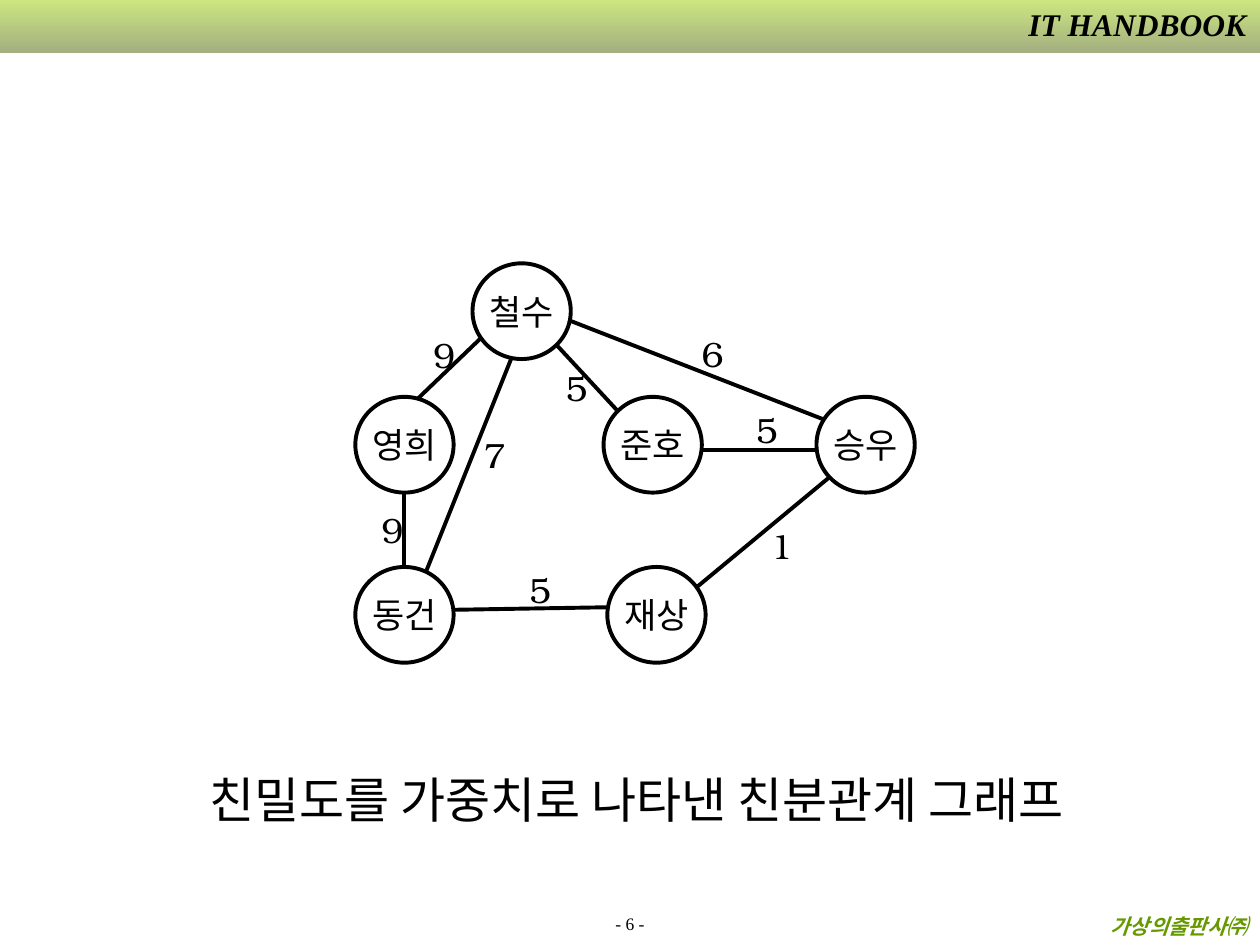
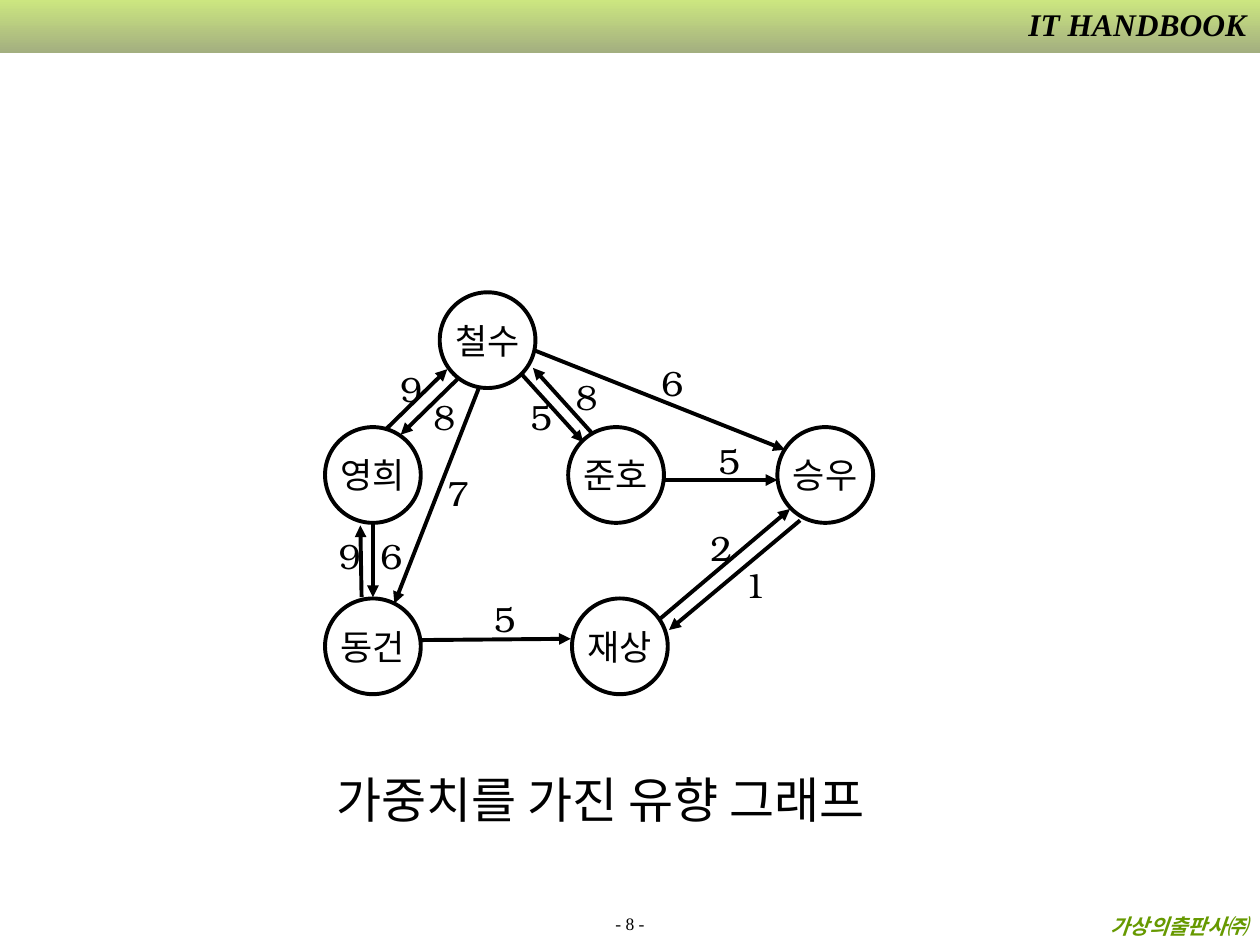
from lxml import etree
from pptx import Presentation
from pptx.dml.color import RGBColor
from pptx.enum.shapes import MSO_CONNECTOR, MSO_SHAPE
from pptx.enum.text import MSO_ANCHOR, MSO_AUTO_SIZE, PP_ALIGN
from pptx.oxml import parse_xml
from pptx.oxml.ns import nsdecls, qn
from pptx.util import Inches, Pt

STRAIGHT = MSO_CONNECTOR.STRAIGHT
RECTANGLE, OVAL = MSO_SHAPE.RECTANGLE, MSO_SHAPE.OVAL
TOP, MIDDLE, BOTTOM = MSO_ANCHOR.TOP, MSO_ANCHOR.MIDDLE, MSO_ANCHOR.BOTTOM
LEFT, CENTER, RIGHT = PP_ALIGN.LEFT, PP_ALIGN.CENTER, PP_ALIGN.RIGHT
NO_AUTOFIT = MSO_AUTO_SIZE.NONE

BLACK = RGBColor(0x00, 0x00, 0x00)
GREEN = RGBColor(0x66, 0x99, 0x00)
BAND_LIGHT = RGBColor(0xCC, 0xE6, 0x80)
BAND_DARK = RGBColor(0xA3, 0xAF, 0x80)
SERIF, WEIGHT_FONT = "Times New Roman", "TeX Gyre Bonum"
NODE_FONT, CAPTION_FONT = "Noto Sans CJK KR", "Arial"
STROKE = Pt(2.25)
TITLE_ONLY = 5

HEADER_SHADOW = (
    f'<a:effectLst {nsdecls("a")}><a:outerShdw dist="17961" dir="2700000">'
    '<a:srgbClr val="C0C0C0"/></a:outerShdw></a:effectLst>'
)

GRAPHS = [
    {
        "page": 6,
        "caption": "친밀도를 가중치로 나타낸 친분관계 그래프",
        "caption_left": 1.56,
        "caption_width": 7.06,
        "directed": False,
        "node_width": 0.78,
        "people": [
            ("영희", 2.82, 3.15), ("철수", 3.75, 2.09), ("준호", 4.79, 3.15),
            ("동건", 2.82, 4.5), ("승우", 6.48, 3.15), ("재상", 4.82, 4.5),
        ],
        "edges": [
            ((3.31, 3.17), (3.81, 2.69), "9", (3.34, 2.6)),
            ((4.51, 2.54), (6.54, 3.33), "6", (5.47, 2.59)),
            ((4.41, 2.73), (4.91, 3.27), "5", (4.39, 2.86)),
            ((3.59, 4.84), (4.81, 4.82), "5", (4.1, 4.46)),
            ((5.58, 3.57), (6.48, 3.57), "5", (5.9, 3.19)),
            ((5.53, 4.66), (6.58, 3.79), "1", (6.02, 4.11)),
            ((3.21, 3.92), (3.21, 4.5), "9", (2.93, 3.99)),
            ((4.06, 2.84), (3.38, 4.54), "7", (3.74, 3.39)),
        ],
    },
    {
        "page": 8,
        "caption": "가중치를 가진 유향 그래프",
        "caption_left": 2.57,
        "caption_width": 4.45,
        "directed": True,
        "node_width": 0.76,
        "people": [
            ("영희", 2.58, 3.39), ("철수", 3.49, 2.32), ("준호", 4.51, 3.39),
            ("동건", 2.58, 4.75), ("승우", 6.17, 3.39), ("재상", 4.54, 4.75),
        ],
        "edges": [
            ((3.06, 3.41), (3.55, 2.93), "9", (3.08, 2.87)),
            ((4.24, 2.78), (6.23, 3.57), "6", (5.15, 2.82)),
            ((4.14, 2.97), (4.63, 3.51), "5", (4.11, 3.09)),
            ((3.34, 5.08), (4.53, 5.07), "5", (3.82, 4.69)),
            ((5.28, 3.81), (6.17, 3.81), "5", (5.6, 3.44)),
            ((5.24, 4.91), (6.27, 4.04), "2", (5.54, 4.13)),
            ((2.96, 4.16), (2.96, 4.74), "6", (2.92, 4.19)),
            ((3.8, 3.08), (3.13, 4.79), "7", (3.45, 3.69)),
            ((3.63, 3.01), (3.18, 3.45), "8", (3.34, 3.09)),
            ((2.87, 4.74), (2.86, 4.17), "9", (2.59, 4.19)),
            ((6.35, 4.13), (5.31, 5), "1", (5.81, 4.42)),
            ((4.7, 3.44), (4.23, 2.92), "8", (4.47, 2.93)),
        ],
    },
]


def write(shape, text, font, size, color=BLACK, align=LEFT, anchor=TOP,
          emphasis=False, wrap=True):
    frame = shape.text_frame
    frame.text = text
    frame.word_wrap = wrap
    frame.auto_size = NO_AUTOFIT
    frame.vertical_anchor = anchor
    paragraph = frame.paragraphs[0]
    paragraph.alignment = align
    paragraph.font.name = font
    paragraph.font.size = Pt(size)
    paragraph.font.color.rgb = color
    paragraph.font.bold = paragraph.font.italic = emphasis
    return paragraph


def add_box(slide, left, top, width, height):
    return slide.shapes.add_textbox(
        Inches(left), Inches(top), Inches(width), Inches(height))


deck = Presentation()
deck.slide_width, deck.slide_height = Inches(10), Inches(7.5)

for graph in GRAPHS:
    slide = deck.slides.add_slide(deck.slide_layouts[TITLE_ONLY])

    band = slide.shapes.add_shape(RECTANGLE, 0, 0, Inches(10), Inches(0.42))
    band.shadow.inherit = False
    band.line.fill.background()
    band.fill.gradient()
    band.fill.gradient_angle = 270
    for stop, color in zip(band.fill.gradient_stops, (BAND_LIGHT, BAND_DARK)):
        stop.color.rgb = color

    series = write(add_box(slide, 7.88, -0.01, 2.11, 0.4), "IT HANDBOOK",
                   SERIF, 18, align=RIGHT, emphasis=True)
    series.runs[0]._r.get_or_add_rPr().append(parse_xml(HEADER_SHADOW))
    write(add_box(slide, 0, 7.24, 10, 0.22), f"- {graph['page']} -",
          SERIF, 10, align=CENTER, anchor=BOTTOM)
    write(add_box(slide, 0.06, 7.2, 9.94, 0.3), "가상의출판사㈜",
          SERIF, 12, GREEN, RIGHT, emphasis=True)

    for start, end, weight, weight_at in graph["edges"]:
        edge = slide.shapes.add_connector(
            STRAIGHT, *(Inches(value) for value in start + end))
        edge.line.color.rgb = BLACK
        edge.line.width = STROKE
        etree.SubElement(edge._element.spPr, qn("a:effectLst"))
        if graph["directed"]:
            etree.SubElement(edge.line._get_or_add_ln(), qn("a:tailEnd"),
                             type="triangle")
        write(add_box(slide, *weight_at, 0.35, 0.44), weight, WEIGHT_FONT, 20)

    for person, left, top in graph["people"]:
        node = slide.shapes.add_shape(
            OVAL, Inches(left), Inches(top),
            Inches(graph["node_width"]), Inches(0.76))
        node.shadow.inherit = False
        node.fill.background()
        node.line.color.rgb = BLACK
        node.line.width = STROKE
        write(node, person, NODE_FONT, 20, align=CENTER, anchor=MIDDLE, wrap=False)

    caption = slide.shapes.title
    caption.left, caption.top = Inches(graph["caption_left"]), Inches(6.06)
    caption.width, caption.height = Inches(graph["caption_width"]), Inches(0.57)
    write(caption, graph["caption"], CAPTION_FONT, 28, wrap=False)

deck.save("out.pptx")
